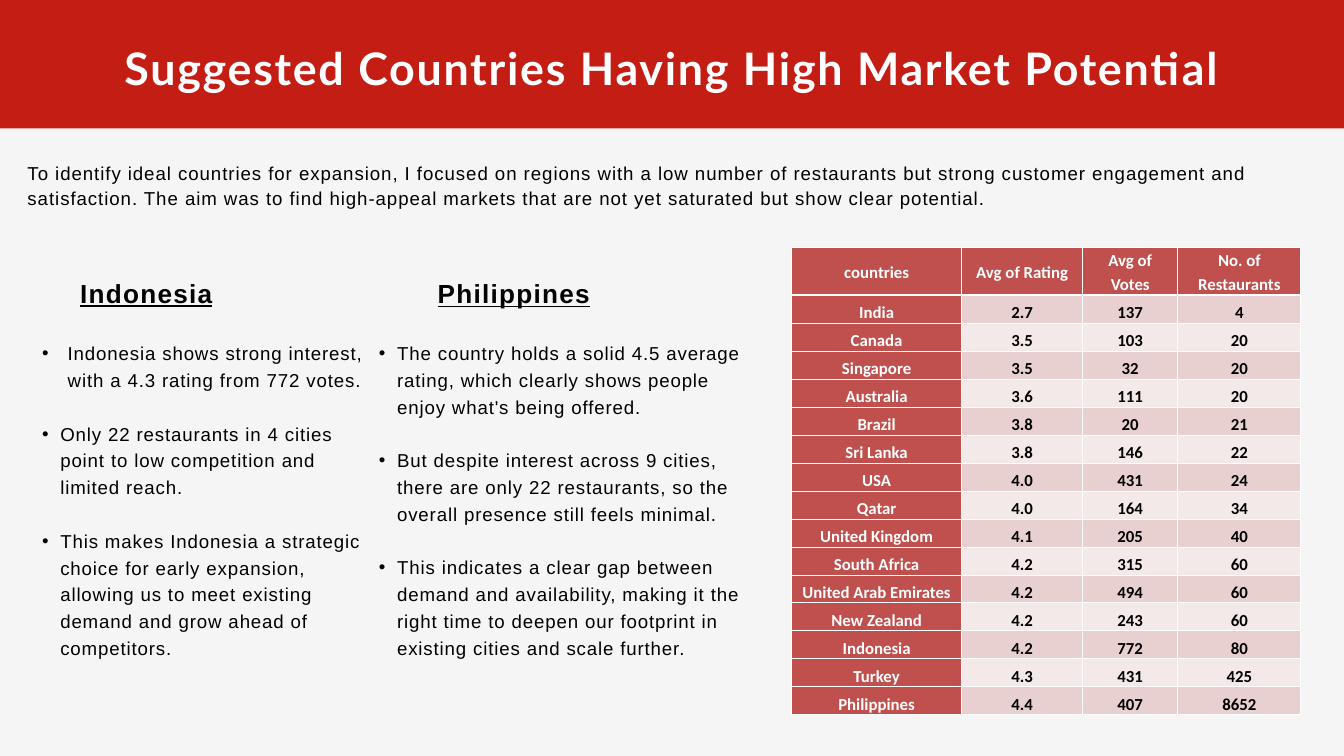
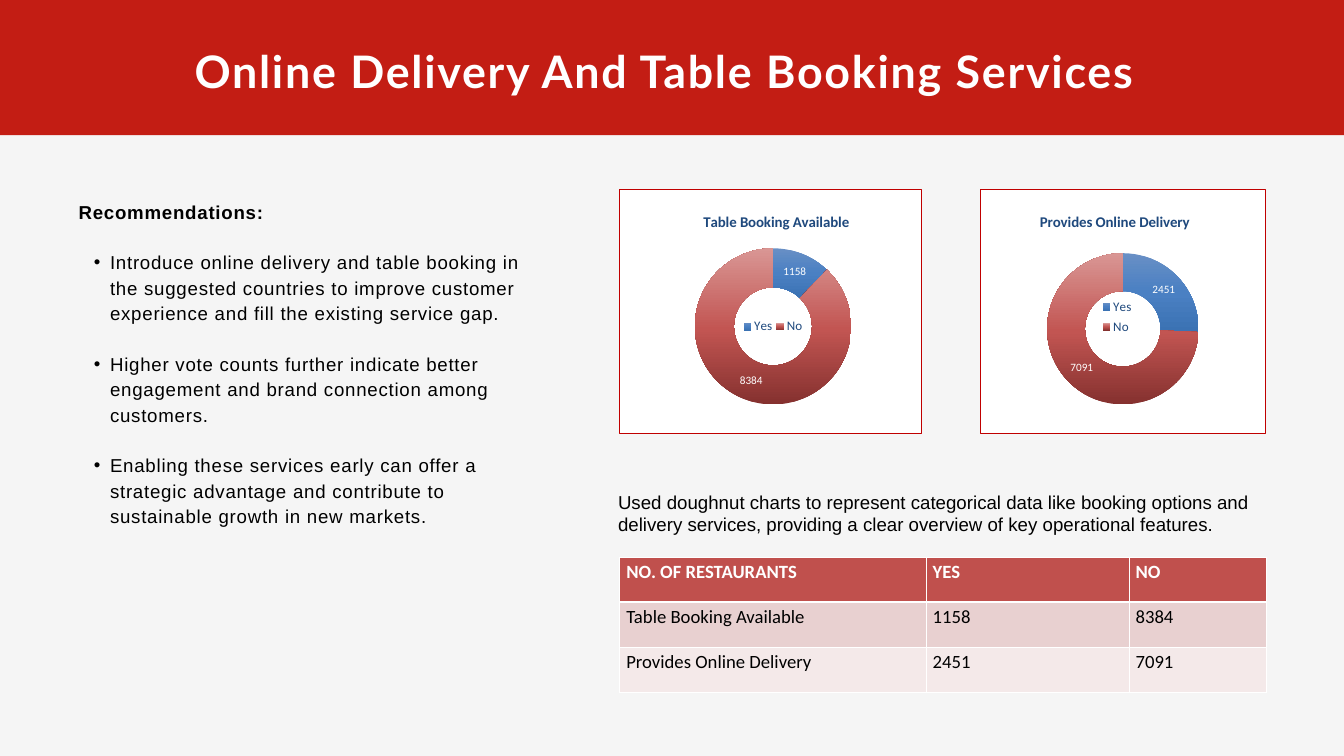
from dataclasses import dataclass
from typing import Optional

from pptx import Presentation
from pptx.chart.data import CategoryChartData as ChartData
from pptx.dml.color import RGBColor as RGB
from pptx.enum.chart import XL_CHART_TYPE as Kind, XL_LEGEND_POSITION as Side
from pptx.enum.shapes import MSO_SHAPE as Form
from pptx.enum.text import MSO_ANCHOR as Anchor, PP_ALIGN as Align
from pptx.oxml import parse_xml
from pptx.oxml.ns import nsdecls, qn
from pptx.util import Cm, Pt

# Shared colours and fonts
PAPER = RGB(0xF5, 0xF5, 0xF5)
RED = RGB(0xC3, 0x1D, 0x14)
WHITE = RGB(0xFF, 0xFF, 0xFF)
BLACK = RGB(0, 0, 0)
BRICK = RGB(0xC0, 0x50, 0x4D)
ROSE = RGB(0xE8, 0xD0, 0xD0)
BLUSH = RGB(0xF4, 0xE9, 0xE9)
NAVY = RGB(0x1F, 0x49, 0x7D)
FRAME = RGB(0xC0, 0, 0)
BLUES = [(0, RGB(0x68, 0x8F, 0xC5)), (50, RGB(0x4A, 0x80, 0xC3)),
         (100, RGB(0x3B, 0x72, 0xB3))]
REDS = [(0, RGB(0x85, 0x31, 0x2F)), (48, RGB(0xC2, 0x55, 0x52)),
        (100, RGB(0xD9, 0x96, 0x94))]
SANS, HEAD, BODY = "Arial", "Lato", "Calibri"
WIDTH, HEIGHT = 50.8, 50.8 * 9 / 16


@dataclass
class Box:
    """A place on the slide in centimetres."""
    left: float
    top: float
    width: float
    height: float

    def lengths(self) -> tuple:
        return Cm(self.left), Cm(self.top), Cm(self.width), Cm(self.height)


@dataclass
class Country:
    name: str
    head: Box
    box: Box
    points: list
    indents: list


@dataclass
class Ring:
    title: str
    box: Box
    values: tuple
    plot: tuple
    legend: tuple
    label: tuple


@dataclass
class Grid:
    box: Box
    cols: list
    tall: float
    rows: list
    size: int
    side: Optional[bool] = False  # first column coloured, all cells bold and centred


COUNTRIES = [
    Country("Indonesia", Box(2.34, 10.26, 6.38, 1.3), Box(0.76, 11.73, 13.36, 14.22), [
        "Indonesia shows strong interest, with a 4.3 rating from 772 votes.",
        "Only 22 restaurants in 4 cities point to low competition and limited reach.",
        "This makes Indonesia a strategic choice for early expansion, allowing us to "
        "meet existing demand and grow ahead of competitors."],
        [(1.65, 0.97), (1.37, 0.69), (1.37, 0.69)]),
    Country("Philippines", Box(15.75, 10.29, 7.34, 1.3), Box(13.49, 11.81, 15.14, 14.05), [
        "The country holds a solid 4.5 average rating, which clearly shows people "
        "enjoy what's being offered.",
        "But despite interest across 9 cities, there are only 22 restaurants, so the "
        "overall presence still feels minimal.",
        "This indicates a clear gap between demand and availability, making it the "
        "right time to deepen our footprint in existing cities and scale further."],
        [(1.37, 0.69)] * 3),
]

MARKETS = Grid(Box(29.92, 9.35, 19.25, 17.68), [6.43, 4.57, 3.6, 4.65], 1.8, [
    ("countries", "Avg of Rating", "Avg of Votes", "No. of Restaurants"),
    ("India", "2.7", "137", "4"),
    ("Canada", "3.5", "103", "20"),
    ("Singapore", "3.5", "32", "20"),
    ("Australia", "3.6", "111", "20"),
    ("Brazil", "3.8", "20", "21"),
    ("Sri Lanka", "3.8", "146", "22"),
    ("USA", "4.0", "431", "24"),
    ("Qatar", "4.0", "164", "34"),
    ("United Kingdom", "4.1", "205", "40"),
    ("South Africa", "4.2", "315", "60"),
    ("United Arab Emirates", "4.2", "494", "60"),
    ("New Zealand", "4.2", "243", "60"),
    ("Indonesia", "4.2", "772", "80"),
    ("Turkey", "4.3", "431", "425"),
    ("Philippines", "4.4", "407", "8652"),
], 18, True)

ADVICE = [
    "Introduce online delivery and table booking in the suggested countries to "
    "improve customer experience and fill the existing service gap.",
    "Higher vote counts further indicate better engagement and brand connection "
    "among customers.",
    "Enabling these services early can offer a strategic advantage and contribute "
    "to sustainable growth in new markets.",
]

RINGS = [
    Ring("Table Booking Available", Box(23.39, 7.16, 11.43, 9.25), (1158, 8384),
         (0.25, 0.24, 0.52, 0.64), (0.4, 0.52, 0.22, 0.08), (0.27, 0.08)),
    Ring("Provides Online Delivery", Box(37.03, 7.16, 10.82, 9.25), (2451, 7091),
         (0.2, 0.26, 0.6, 0.62), (0.41, 0.43, 0.14, 0.18), (0.2, 0.08)),
]

SERVICES = Grid(Box(23.42, 21.06, 24.46, 5.1), [11.58, 7.67, 5.21], 1.7,
                [("NO. OF RESTAURANTS", "YES", "NO")]
                + [(ring.title, *map(str, ring.values)) for ring in RINGS], 20)


def write(frame, words: str, *, size: float = 20, face: str = SANS, color: RGB = BLACK,
          bold: bool = False, under: bool = False, align=Align.LEFT, gap: float = 0,
          line=None, after: float = 0, bullet: Optional[tuple] = None) -> None:
    """Add a paragraph; gap is letter spacing, bullet is (margin, hang)."""
    para = frame.paragraphs[0]
    if para.runs:
        para = frame.add_paragraph()
    para.alignment = align
    para.space_after = Pt(after)
    if line:
        para.line_spacing = line
    if bullet:
        props = para._p.get_or_add_pPr()
        props.set("marL", str(Cm(bullet[0])))
        props.set("indent", str(-Cm(bullet[1])))
        props.append(parse_xml(f'<a:buFont {nsdecls("a")} typeface="Arial"/>'))
        props.append(parse_xml(f'<a:buChar {nsdecls("a")} char="•"/>'))
    run = para.add_run()
    run.text = words
    font = run.font
    font.size, font.name, font.bold, font.underline = Pt(size), face, bold, under
    font.color.rgb = color
    if gap:
        run._r.get_or_add_rPr().set("spc", str(round(gap * 100)))


def add_frame(slide, box: Box, pad: Optional[float] = 0, anchor=Anchor.TOP):
    frame = slide.shapes.add_textbox(*box.lengths()).text_frame
    frame.word_wrap = True
    frame.vertical_anchor = anchor
    if pad is not None:
        frame.margin_left = frame.margin_right = Cm(pad)
        frame.margin_top = frame.margin_bottom = Cm(pad)
    return frame


def add_list(frame, points: list, indents: list, line: float, gap: float) -> None:
    """Bullets parted by one empty line's height."""
    last = len(points) - 1
    for i, (point, indent) in enumerate(zip(points, indents)):
        write(frame, point, line=Pt(line), gap=gap, bullet=indent,
              after=line if i < last else 0)


def add_page(deck, title: str, depth: float, box: Box):
    """Blank slide with the red band and its title."""
    slide = deck.slides.add_slide(deck.slide_layouts[6])
    slide.background.fill.solid()
    slide.background.fill.fore_color.rgb = PAPER
    band = slide.shapes.add_shape(Form.RECTANGLE, *Box(0, 0, WIDTH, depth).lengths())
    band.shadow.inherit = False
    band.fill.solid()
    band.fill.fore_color.rgb = RED
    band.line.fill.background()
    write(add_frame(slide, box), title, size=48, face=HEAD, color=WHITE, bold=True,
          align=Align.CENTER, gap=1.9, line=Pt(52.8))
    return slide


def edge(cell, top: float, base: float) -> None:
    """White cell borders, widths in points."""
    props = cell._tc.get_or_add_tcPr()
    for i, (side, wide) in enumerate(zip("LRTB", (1, 1, top, base))):
        props.insert(i, parse_xml(
            f'<a:ln{side} {nsdecls("a")} w="{Pt(wide)}"><a:solidFill>'
            f'<a:srgbClr val="{WHITE}"/></a:solidFill></a:ln{side}>'))


def add_grid(slide, grid: Grid) -> None:
    count = len(grid.rows)
    table = slide.shapes.add_table(count, len(grid.cols), *grid.box.lengths()).table
    for col, wide in zip(table.columns, grid.cols):
        col.width = Cm(wide)
    rest = (grid.box.height - grid.tall) / (count - 1)
    for r, row in enumerate(grid.rows):
        table.rows[r].height = Cm(rest if r else grid.tall)
        for c, words in enumerate(row):
            cell = table.cell(r, c)
            strong = r == 0 or (grid.side and c == 0)
            cell.fill.solid()
            cell.fill.fore_color.rgb = BRICK if strong else (ROSE if r % 2 else BLUSH)
            edge(cell, 3 if r == 1 else 1, 3 if r == 0 else 1)
            if grid.side:
                cell.margin_left = cell.margin_right = Cm(0.18)
                cell.margin_top = cell.margin_bottom = 0
                cell.vertical_anchor = Anchor.BOTTOM if r else Anchor.MIDDLE
            write(cell.text_frame, words, size=grid.size, face=BODY,
                  color=WHITE if strong else BLACK, bold=strong or grid.side,
                  align=Align.CENTER if grid.side else Align.LEFT,
                  line=1.15 if grid.side else None)


def place(node, index: int, spot: tuple, inner: bool = False) -> None:
    """Give a chart part a fixed place, in shares of the chart."""
    for old in node.findall(qn("c:layout")):
        node.remove(old)
    modes = "".join(f'<c:{m}Mode val="edge"/>' for m in "xy")
    sizes = "".join(f'<c:{k} val="{v}"/>' for k, v in zip("xywh", spot))
    target = '<c:layoutTarget val="inner"/>' if inner else ""
    node.insert(index, parse_xml(
        f'<c:layout {nsdecls("c")}><c:manualLayout>{target}{modes}{sizes}'
        '</c:manualLayout></c:layout>'))


def shade(point, stops: list, angle: int) -> None:
    point.format.line.fill.background()
    marks = "".join(f'<a:gs pos="{at * 1000}"><a:srgbClr val="{color}"/></a:gs>'
                    for at, color in stops)
    point.format._element.get_or_add_spPr().insert(0, parse_xml(
        f'<a:gradFill {nsdecls("a")} rotWithShape="1"><a:gsLst>{marks}</a:gsLst>'
        f'<a:lin ang="{angle * 60000}" scaled="0"/></a:gradFill>'))


def add_ring(slide, ring: Ring) -> None:
    data = ChartData()
    data.categories = ["Yes", "No"]
    data.add_series("Series 1", ring.values)
    chart = slide.shapes.add_chart(Kind.DOUGHNUT, *ring.box.lengths(), data).chart
    chart.font.size, chart.font.name = Pt(16), BODY
    chart.font.color.rgb = BLACK
    # Title and legend
    chart.has_title = True
    write(chart.chart_title.text_frame, ring.title, size=16, face=BODY, color=NAVY,
          bold=True, align=Align.CENTER)
    place(chart.chart_title._element, 1, ring.label)
    chart.has_legend = True
    legend = chart.legend
    legend.position = Side.RIGHT
    legend.include_in_layout = True
    legend.font.size, legend.font.name = Pt(14), BODY
    legend.font.color.rgb = NAVY
    place(legend._element, 1, ring.legend)
    # Slices and values
    plot = chart.plots[0]
    plot.vary_by_categories = True
    plot._element.find(qn("c:holeSize")).set("val", "60")
    place(plot._element.getparent(), 0, ring.plot, inner=True)
    shade(plot.series[0].points[0], BLUES, 90)
    shade(plot.series[0].points[1], REDS, 270)
    plot.has_data_labels = True
    labels = plot.data_labels
    labels.show_value, labels.show_percentage = True, False
    labels.font.size, labels.font.name = Pt(12), BODY
    labels.font.color.rgb = WHITE
    # White ground with a thin frame
    chart._chartSpace.find(qn("c:chart")).addnext(parse_xml(
        f'<c:spPr {nsdecls("c", "a")}><a:solidFill><a:srgbClr val="{WHITE}"/>'
        f'</a:solidFill><a:ln w="{Pt(0.75)}"><a:solidFill><a:srgbClr val="{FRAME}"/>'
        '</a:solidFill></a:ln></c:spPr>'))


def add_markets(deck) -> None:
    slide = add_page(deck, "Suggested Countries Having High Market Potential", 4.85,
                     Box(0, 1.7, WIDTH, 3.76))
    write(add_frame(slide, Box(1.04, 6.05, 46.89, 1.78)),
          "To identify ideal countries for expansion, I focused on regions with a low "
          "number of restaurants but strong customer engagement and satisfaction. The "
          "aim was to find high-appeal markets that are not yet saturated but show "
          "clear potential.", gap=1, line=Pt(26.4))
    for land in COUNTRIES:
        write(add_frame(slide, land.head), land.name, size=28, bold=True, under=True,
              align=Align.CENTER, gap=1.4, line=Pt(39.6))
        add_list(add_frame(slide, land.box, 0.15, Anchor.MIDDLE), land.points,
                 land.indents, 28.7, 0.9)
    add_grid(slide, MARKETS)


def add_services(deck) -> None:
    slide = add_page(deck, "Online Delivery And Table Booking Services", 5.11,
                     Box(5.51, 1.83, 39.22, 1.9))
    frame = add_frame(slide, Box(2.97, 7.46, 17.58, 13.29))
    write(frame, "Recommendations:", bold=True, gap=0.8, line=Pt(27.2), after=27.2)
    add_list(frame, ADVICE, [(1.19, 0.61)] * 3, 27.2, 0.8)
    for ring in RINGS:
        add_ring(slide, ring)
    write(add_frame(slide, Box(23.11, 18.42, 25.07, 1.96), None),
          "Used doughnut charts to represent categorical data like booking options and "
          "delivery services, providing a clear overview of key operational features.")
    add_grid(slide, SERVICES)


def main() -> None:
    deck = Presentation()
    deck.slide_width, deck.slide_height = Cm(WIDTH), Cm(HEIGHT)
    add_markets(deck)
    add_services(deck)
    deck.save("out.pptx")


if __name__ == "__main__":
    main()
